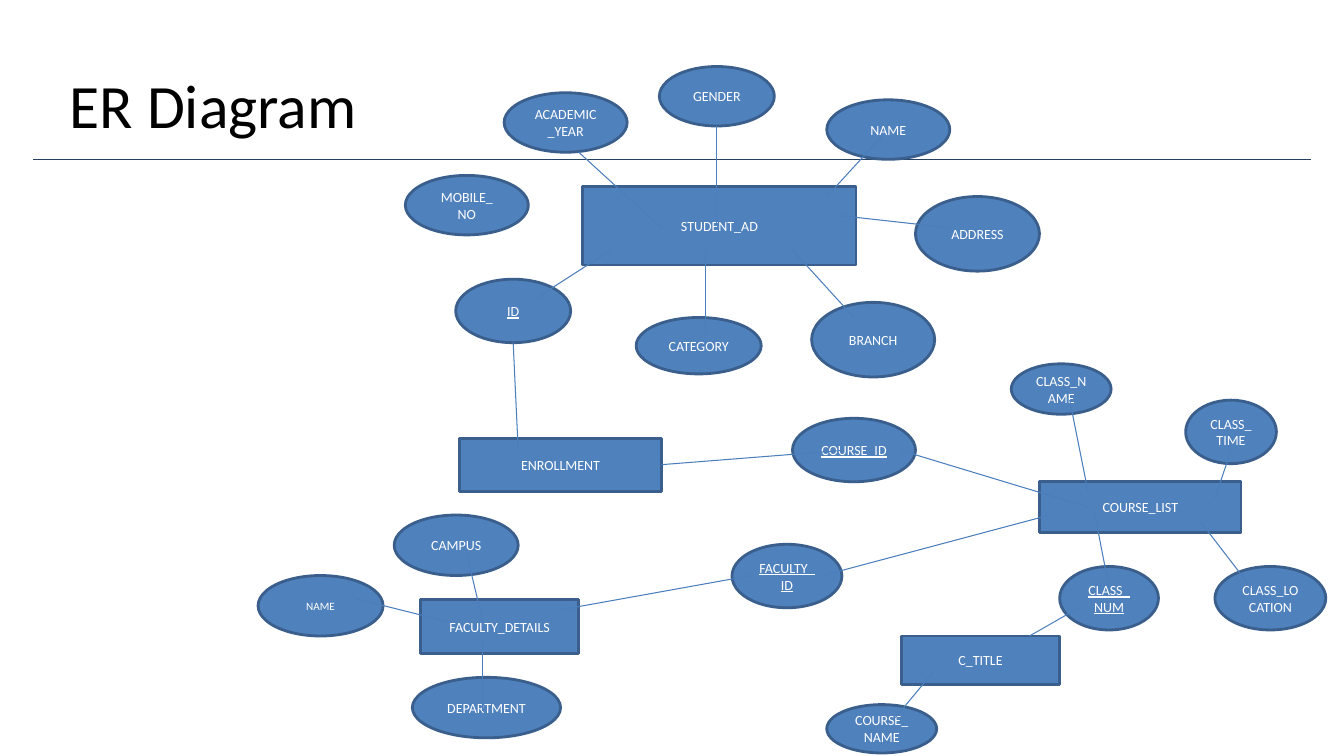
import lxml.etree
import pptx
import pptx.util
import pptx.dml.color
import pptx.enum.shapes
import pptx.enum.text
import pptx.oxml.ns

Inches, Pt = pptx.util.Inches, pptx.util.Pt
RGB = pptx.dml.color.RGBColor.from_string
SHAPES = pptx.enum.shapes.MSO_SHAPE
ALIGN = pptx.enum.text.PP_ALIGN
MIDDLE = pptx.enum.text.MSO_ANCHOR.MIDDLE

COLORS = {"node": "4F81BD", "outline": "3A5F8C", "link": "4B7EBC",
          "rule": "254061", "title": "000000", "label": "FFFFFF"}

deck = pptx.Presentation()
deck.slide_width, deck.slide_height = Inches(13.33), Inches(7.5)
slide = deck.slides.add_slide(deck.slide_layouts[5])


def write(shape, text, size, color, align, underline=False):
    frame = shape.text_frame
    frame.text = text
    frame.word_wrap = True
    frame.vertical_anchor = MIDDLE
    for paragraph in frame.paragraphs:
        paragraph.alignment = align
        font_format = {"name": "Calibri", "size": Pt(size), "underline": underline}
        for attribute, value in font_format.items():
            setattr(paragraph.runs[0].font, attribute, value)
        paragraph.runs[0].font.color.rgb = RGB(COLORS[color])


def draw_line(x1, y1, x2, y2, color):
    line = slide.shapes.add_connector(
        pptx.enum.shapes.MSO_CONNECTOR.STRAIGHT,
        Inches(x1), Inches(y1), Inches(x2), Inches(y2))
    line.line.color.rgb = RGB(COLORS[color])
    line.line.width = Pt(0.75)
    lxml.etree.SubElement(line._element.spPr, pptx.oxml.ns.qn("a:effectLst"))


# Title and the rule below it
title = slide.shapes.title
title.left, title.top = Inches(0.59), Inches(0.18)
title.width, title.height = Inches(10.37), Inches(1.7)
write(title, "ER Diagram", 44, "title", ALIGN.LEFT)
draw_line(0.33, 1.58, 13, 1.58, "rule")

# Entities are rectangles, attributes are ellipses, keys are underlined
entities = [
    ("STUDENT_AD", 5.78, 1.85, 2.71, 0.78),
    ("ENROLLMENT", 4.56, 4.35, 2, 0.53),
    ("COURSE_LIST", 10.31, 4.78, 2, 0.5),
    ("FACULTY_DETAILS", 4.17, 5.95, 1.57, 0.53),
    ("C_TITLE", 8.94, 6.31, 1.57, 0.48),
]
attributes = [
    # Student
    ("GENDER", 6.54, 0.66, 1.14, 0.59),
    ("MOBILE_\nNO", 4.02, 1.74, 1.22, 0.59),
    ("CATEGORY", 6.31, 3.15, 1.24, 0.56),
    ("NAME", 8.2, 0.99, 1.22, 0.59),
    ("ADDRESS", 9.08, 1.95, 1.23, 0.74),
    ("BRANCH", 8.05, 3, 1.22, 0.74),
    ("ACADEMIC_YEAR", 5, 0.92, 1.22, 0.59),
    # Course
    ("CLASS_NAME", 10.03, 3.61, 0.99, 0.5),
    ("CLASS_TIME", 11.76, 3.97, 0.9, 0.63),
    ("CLASS_LOCATION", 12.05, 5.62, 1.1, 0.63),
    ("COURSE_NAME", 8.2, 6.99, 1.09, 0.48),
    # Faculty
    ("CAMPUS", 3.91, 5.11, 1.23, 0.6),
    ("DEPARTMENT", 4.09, 6.72, 1.47, 0.6),
]
small_attributes = [("NAME", 2.56, 5.71, 1.24, 0.6)]
keys = [
    ("ID", 4.52, 2.77, 1.14, 0.63),
    ("COURSE_ID", 7.86, 4.15, 1.22, 0.63),
    ("CLASS_NUM", 10.51, 5.62, 0.98, 0.63),
    ("FACULTY_ID", 7.26, 5.4, 1.09, 0.63),
]
groups = [
    (entities, SHAPES.RECTANGLE, 10, False),
    (attributes, SHAPES.OVAL, 10, False),
    (small_attributes, SHAPES.OVAL, 8, False),
    (keys, SHAPES.OVAL, 10, True),
]
for nodes, outline, size, underline in groups:
    for label, *box in nodes:
        node = slide.shapes.add_shape(outline, *map(Inches, box))
        node.shadow.inherit = False
        node.fill.solid()
        node.fill.fore_color.rgb = RGB(COLORS["node"])
        node.line.color.rgb = RGB(COLORS["outline"])
        node.line.width = Pt(2)
        write(node, label, size, "label", ALIGN.CENTER, underline)

# Links between entities and attributes: x1, y1, x2, y2
links = [
    # Student
    (5.74, 1.51, 6.56, 2.26),
    (7.11, 2.23, 7.11, 1.25),
    (8.2, 1.95, 8.74, 1.36),
    (8.34, 2.14, 9.42, 2.26),
    (5.33, 2.95, 6.06, 2.48),
    (7, 3.32, 7, 2.48),
    (8.47, 3.15, 7.86, 2.48),
    # Enrollment
    (5.09, 3.4, 5.14, 4.47),
    (6.56, 4.61, 8.34, 4.47),
    # Course
    (8.94, 4.47, 10.79, 5.03),
    (10.61, 3.97, 10.79, 4.87),
    (12.21, 4.47, 12.05, 4.94),
    (11, 5.83, 10.86, 5.11),
    (12.41, 5.83, 11.91, 5.18),
    (8.16, 5.71, 10.41, 5.11),
    (10.7, 6.03, 10.21, 6.31),
    (9.27, 6.65, 8.88, 7.12),
    # Faculty
    (4.63, 5.5, 4.79, 6.17),
    (3.53, 5.94, 4.45, 6.17),
    (4.79, 7.05, 4.79, 6.31),
    (5.56, 6.05, 7.45, 5.71),
]
for link in links:
    draw_line(*link, "link")

deck.save("out.pptx")
